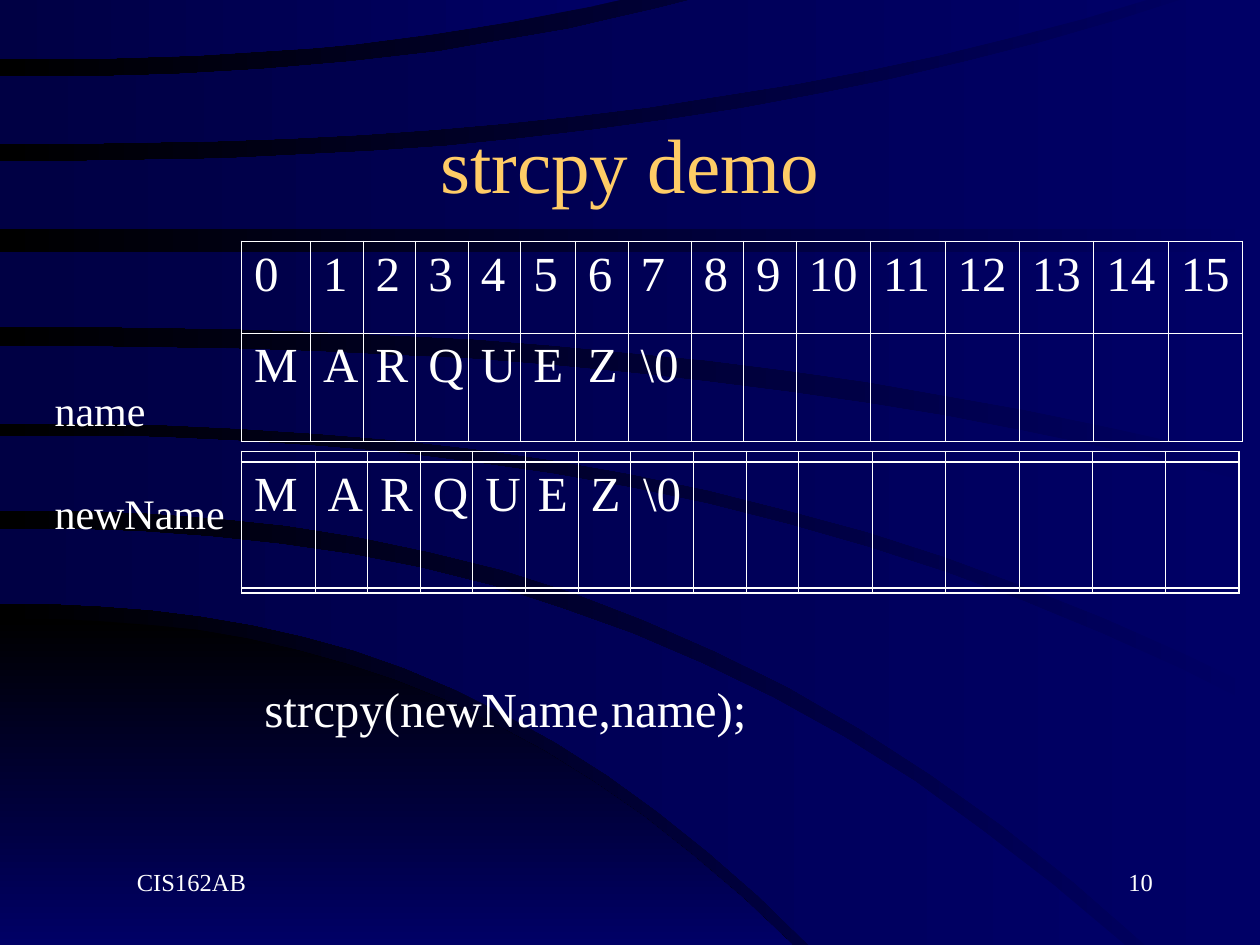
from lxml import etree
from pptx import Presentation
from pptx.dml.color import RGBColor
from pptx.enum import text
from pptx.oxml.ns import qn
from pptx.util import Cm, Pt

COLORS = {"navy": "000066", "dusk": "000044", "black": "000000",
          "gold": "FFCC66", "white": "FFFFFF"}
FONT = "Times New Roman"


def add_run(p, words, size, color="white"):
    r = p.add_run()
    r.text = words
    r.font.name = FONT
    r.font.size = Pt(size)
    r.font.color.rgb = RGBColor.from_string(COLORS[color])


def add_grid(s, top, widths, heights, rows):
    """Add an unfilled table with thin inner and thicker outer borders."""
    table = s.shapes.add_table(len(rows), len(widths), Cm(4.87), Cm(top),
                               Cm(sum(widths)), Cm(sum(heights))).table
    table.first_row = table.horz_banding = False
    for column, width in zip(table.columns, widths):
        column.width = Cm(width)
    for i, (height, row) in enumerate(zip(heights, rows)):
        table.rows[i].height = Cm(height)
        for j in range(len(widths)):
            cell = table.cell(i, j)
            cell.margin_right = Cm(0.2)
            outer = {"lnL": j == 0, "lnR": j == len(widths) - 1,
                     "lnT": i == 0, "lnB": i == len(rows) - 1}
            tcPr = cell._tc.get_or_add_tcPr()
            for side, is_outer in outer.items():
                ln = etree.SubElement(tcPr, qn(f"a:{side}"), w=str(Pt(1.08 if is_outer else 0.45)))
                fill = etree.SubElement(ln, qn("a:solidFill"))
                etree.SubElement(fill, qn("a:srgbClr"), val=COLORS["white"])
            cell.fill.background()
            if j < len(row):
                p = cell.text_frame.paragraphs[0]
                p.space_before = Pt(7)
                add_run(p, row[j], 28)


prs = Presentation()
prs.slide_width, prs.slide_height = Cm(25.4), Cm(19.05)
s = prs.slides.add_slide(prs.slide_layouts[5])

# Sweeping bands in hundredths of an inch. Each edge (start y, end x, end y) leaves
# the left side level and bends by one power law; a corner may join the two ends.
BEND, STEPS = 2.4, 16
bands = [
    ((491, 629, 750), (750, 629, 750), []),
    ((420, 893, 750), (479, 642, 750), []),
    ((346, 1000, 562), (405, 909, 750), [(1000, 750)]),
    ((275, 1000, 385), (336, 1000, 548), []),
    ((200, 1000, 200), (259, 1000, 368), []),
    ((128, 943, -2), (182, 1000, 182), [(1000, -2)]),
    ((61, 556, -2), (114, 917, -2), []),
    ((-2, 501, -2), (47, 501, -2), []),
]
gradients = [(s.background.fill, "navy", "black", 180)]
for i, (*edges, corner) in enumerate(bands):
    upper, lower = [
        [(x * k / STEPS, y + (end - y) * (k / STEPS) ** BEND) for k in range(STEPS + 1)]
        for y, x, end in edges]
    start, *others = upper + corner + lower[::-1]
    builder = s.shapes.build_freeform(*start, scale=Cm(2.54) / 100)
    builder.add_line_segments(others, close=True)
    band = builder.convert_to_shape()
    band.shadow.inherit = False
    band.line.fill.background()
    gradients.append((band.fill, "navy", "dusk", 180) if i else (band.fill, "black", "navy", 270))
for fill, first, last, angle in gradients:
    fill.gradient()
    fill.gradient_angle = angle
    for stop, color in zip(fill.gradient_stops, (first, last)):
        stop.color.rgb = RGBColor.from_string(COLORS[color])

# Title, brought in front of the bands
title = s.shapes.title
s.shapes._spTree.append(title._element)
title.left, title.top, title.width, title.height = Cm(1.9), Cm(1.69), Cm(21.59), Cm(3.18)
title.text_frame.vertical_anchor = text.MSO_ANCHOR.MIDDLE
p = title.text_frame.paragraphs[0]
p.alignment = text.PP_ALIGN.CENTER
add_run(p, "strcpy demo", 44, "gold")

# Character arrays
letters = [*"MARQUEZ", "\\0"]
name_widths = [1.39] + [1.06] * 4 + [1.1, 1.06, 1.27] + [1.06] * 2 + [1.5] * 6
new_name_widths = [1.48] + [1.06] * 6 + [1.27] + [1.06] * 2 + [1.48] * 6
add_grid(s, 4.87, name_widths, [1.84, 2.19], [[str(n) for n in range(16)], letters])
add_grid(s, 9.1, new_name_widths, [2.86], [[]])
add_grid(s, 9.31, new_name_widths, [2.54], [letters])

# Labels, statement and footer: left, top, width, height, left inset, size, alignment, lines
LEFT, RIGHT = text.PP_ALIGN.LEFT, text.PP_ALIGN.RIGHT
boxes = [
    (0.85, 7.62, 4.23, 3.3, 0.25, 24, LEFT, ["name", "newName"]),
    (5.08, 13.55, 15.03, 1.44, 0.25, 28, LEFT, ["strcpy(newName,name);"]),
    (18.2, 17.36, 5.29, 1.27, 0.86, 14, RIGHT, ["10"]),
    (1.9, 17.36, 5.29, 1.27, 0.86, 14, LEFT, ["CIS162AB"]),
]
for left, top, width, height, inset, size, align, lines in boxes:
    tf = s.shapes.add_textbox(Cm(left), Cm(top), Cm(width), Cm(height)).text_frame
    tf.word_wrap = True
    tf.margin_left = Cm(inset)
    for i, line in enumerate(lines):
        p = tf.add_paragraph() if i else tf.paragraphs[0]
        p.alignment = align
        if i:
            p.space_before = Pt(30)
        add_run(p, line, size)

prs.save("out.pptx")
